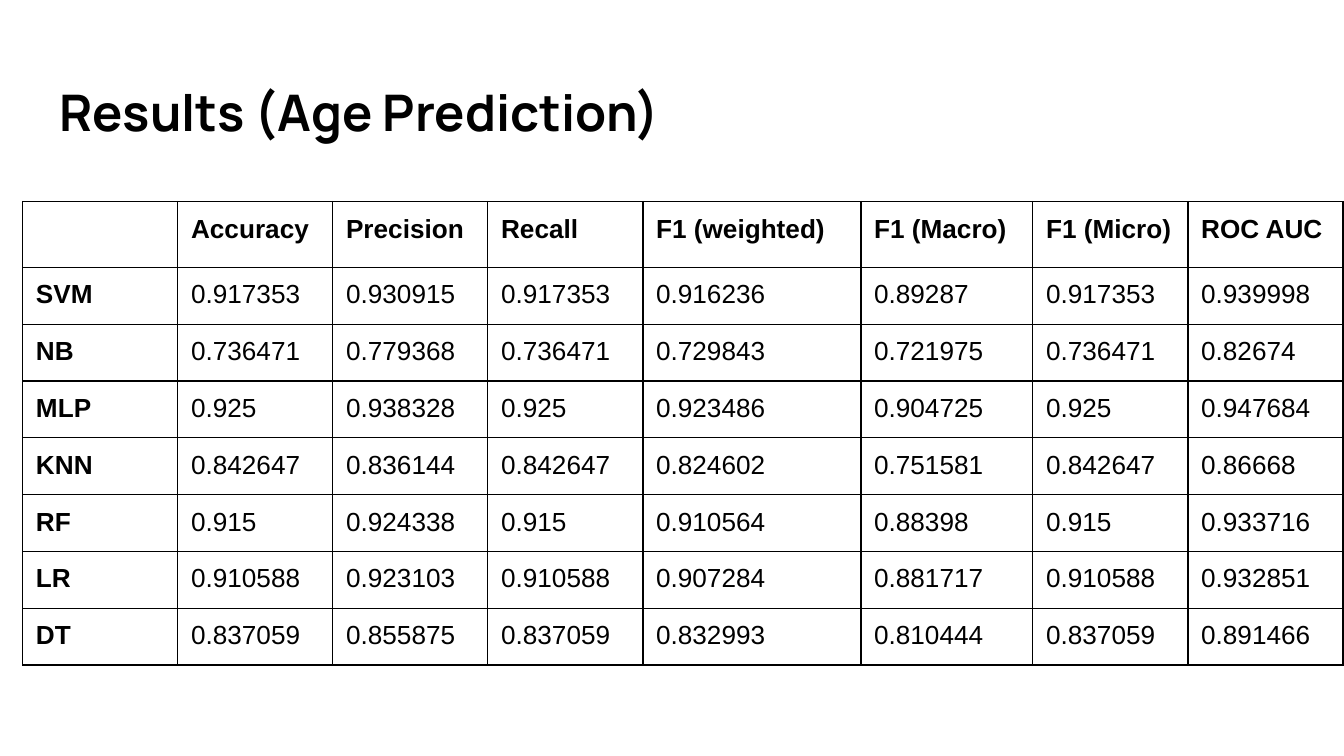
from lxml import etree
from pptx import Presentation
from pptx import util as u
from pptx.dml.color import RGBColor
from pptx.enum import text
from pptx.oxml.ns import qn

COLORS = {"ink": "000000", "paper": "FFFFFF"}

HEADERS = ["", "Accuracy", "Precision", "Recall", "F1 (weighted)",
           "F1 (Macro)", "F1 (Micro)", "ROC AUC"]
RESULTS = [
    ["SVM", "0.917353", "0.930915", "0.917353", "0.916236", "0.89287", "0.917353", "0.939998"],
    ["NB", "0.736471", "0.779368", "0.736471", "0.729843", "0.721975", "0.736471", "0.82674"],
    ["MLP", "0.925", "0.938328", "0.925", "0.923486", "0.904725", "0.925", "0.947684"],
    ["KNN", "0.842647", "0.836144", "0.842647", "0.824602", "0.751581", "0.842647", "0.86668"],
    ["RF", "0.915", "0.924338", "0.915", "0.910564", "0.88398", "0.915", "0.933716"],
    ["LR", "0.910588", "0.923103", "0.910588", "0.907284", "0.881717", "0.910588", "0.932851"],
    ["DT", "0.837059", "0.855875", "0.837059", "0.832993", "0.810444", "0.837059", "0.891466"],
]
COLUMN_WIDTHS = [2.93] * 4 + [4.12, 3.25] + [2.93] * 2
ROW_HEIGHTS = [1.23] + [1.06] * len(RESULTS)


def add_span(para, words, font, size, bold):
    span = para.add_run()
    span.text = words
    span.font.name = font
    span.font.size = u.Pt(size)
    span.font.bold = bold
    span.font.color.rgb = RGBColor.from_string(COLORS["ink"])


def add_borders(cell):
    """Draw all four cell edges; they must come before the fill."""
    props = cell._tc.get_or_add_tcPr()
    for place, side in enumerate(["lnL", "lnR", "lnT", "lnB"]):
        line = etree.Element(qn(f"a:{side}"), w=str(u.Pt(0.75)))
        fill = etree.SubElement(line, qn("a:solidFill"))
        etree.SubElement(fill, qn("a:srgbClr"), val=COLORS["ink"])
        props.insert(place, line)


deck = Presentation()
deck.slide_width, deck.slide_height = u.Cm(25.4), u.Cm(14.29)
page = deck.slides.add_slide(deck.slide_layouts[6])

# Title
box = page.shapes.add_textbox(u.Cm(0.87), u.Cm(1.24), u.Cm(23.67), u.Cm(1.73))
frame = box.text_frame
frame.word_wrap = True
frame.vertical_anchor = text.MSO_ANCHOR.MIDDLE
frame.margin_left = frame.margin_right = u.Cm(0.25)
frame.margin_top = frame.margin_bottom = u.Cm(0.25)
add_span(frame.paragraphs[0], "Results (Age Prediction)", "Manrope", 27, True)

# Results table
table = page.shapes.add_table(
    len(ROW_HEIGHTS), len(COLUMN_WIDTHS), u.Cm(0.43), u.Cm(3.81),
    u.Cm(sum(COLUMN_WIDTHS)), u.Cm(sum(ROW_HEIGHTS))).table
table.first_row = table.horz_banding = False
for column, width in zip(table.columns, COLUMN_WIDTHS):
    column.width = u.Cm(width)
for row, height in zip(table.rows, ROW_HEIGHTS):
    row.height = u.Cm(height)

for r, values in enumerate([HEADERS] + RESULTS):
    for c, value in enumerate(values):
        cell = table.cell(r, c)
        cell.fill.background()
        cell.margin_left = cell.margin_right = u.Cm(0.25)
        cell.margin_top = cell.margin_bottom = u.Cm(0.24)
        add_borders(cell)
        if value:
            add_span(cell.text_frame.paragraphs[0], value, "Arial", 14, r == 0 or c == 0)

page.background.fill.solid()
page.background.fill.fore_color.rgb = RGBColor.from_string(COLORS["paper"])

deck.save("out.pptx")
